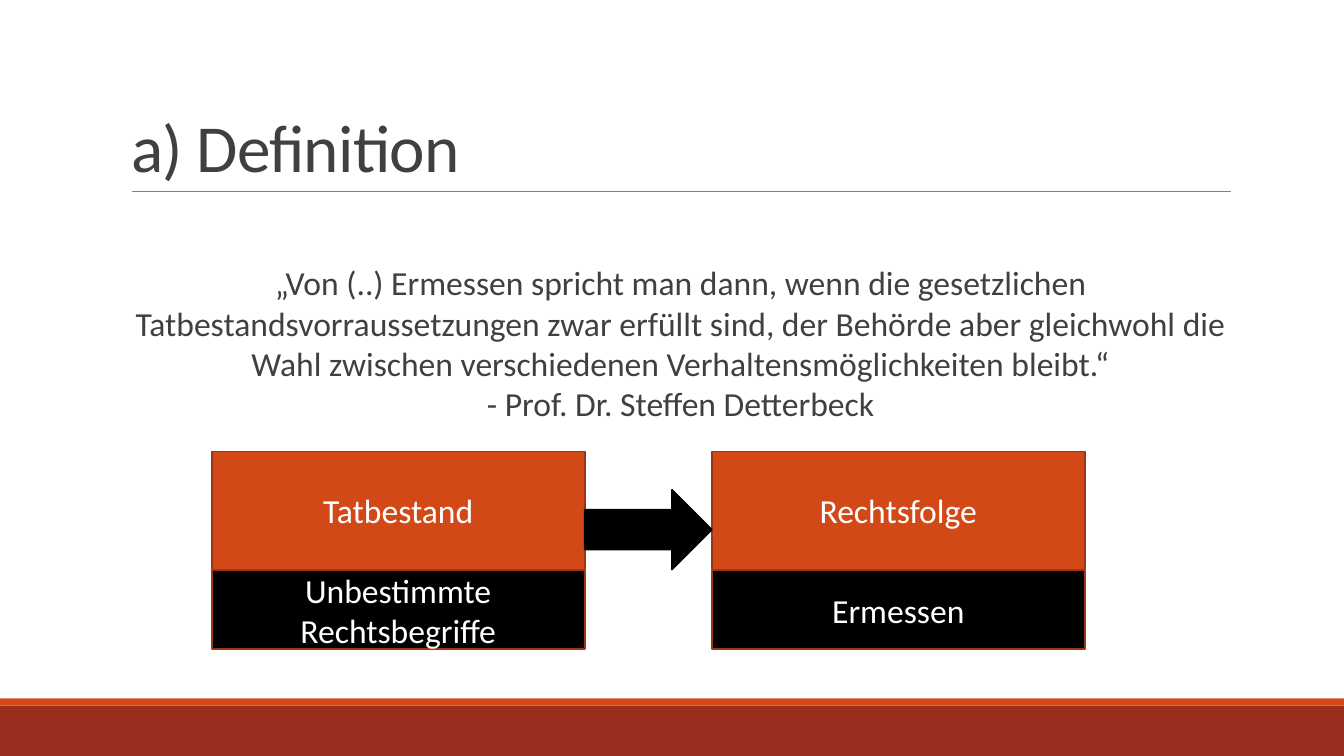
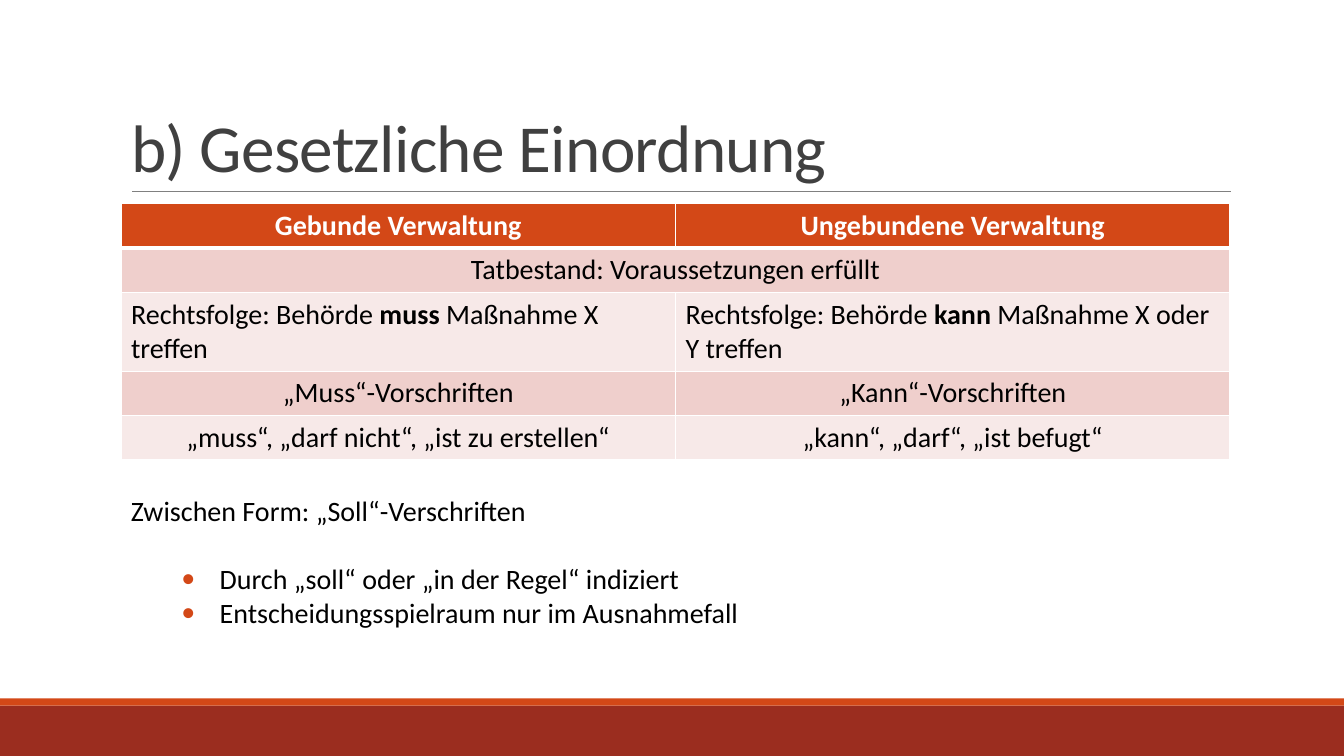
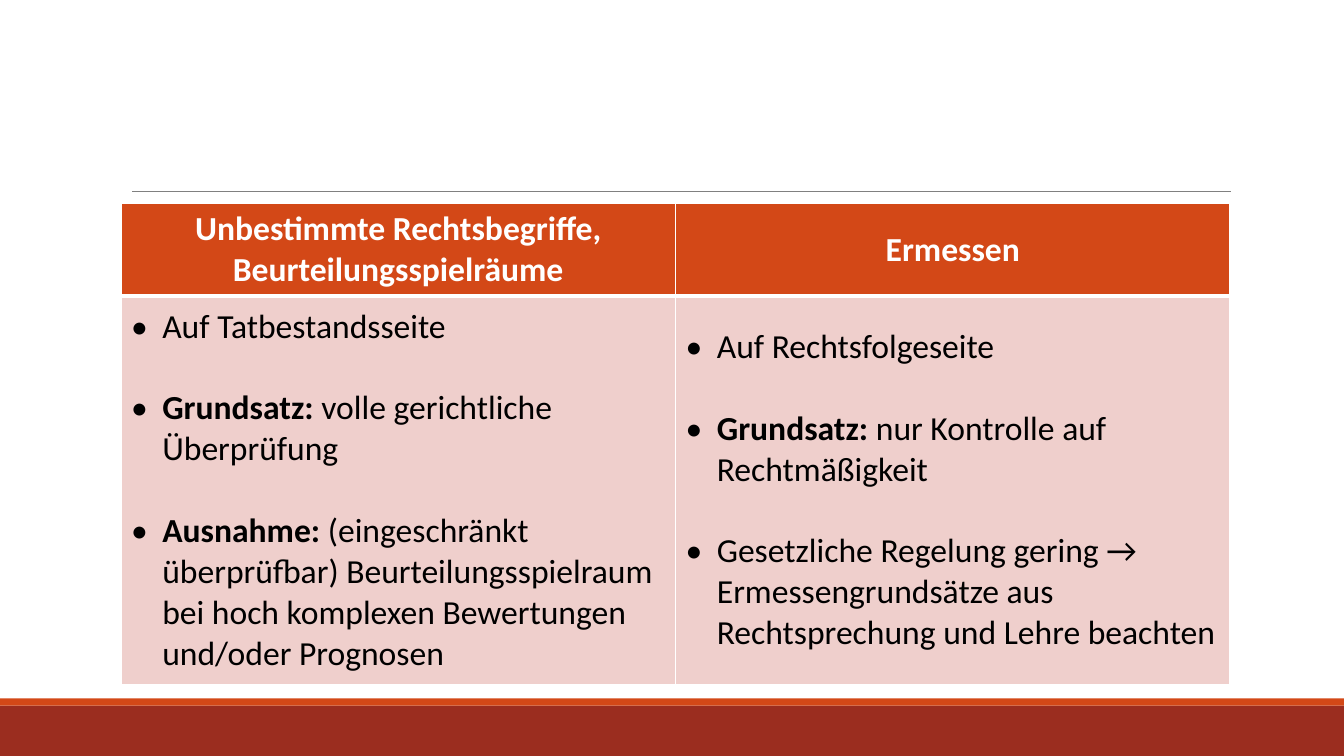
from dataclasses import dataclass
from lxml.etree import SubElement
from pptx import Presentation
from pptx.dml.color import RGBColor
from pptx.enum.shapes import MSO_CONNECTOR, MSO_SHAPE
from pptx.enum.text import MSO_ANCHOR, MSO_AUTO_SIZE, PP_ALIGN
from pptx.oxml.ns import qn
from pptx.util import Inches, Pt

HUES = {
    "white": "FFFFFF", "black": "000000", "gray": "404040", "rule": "808080",
    "orange": "D34817", "red": "9B2D1F", "edge": "9C3511",
    "rose": "EFCFCC", "pale": "F7E9E8",
}
FONT = "Calibri"
LEFT, WIDTH, TOP = 1.2, 11, 2.02
MID, START = PP_ALIGN.CENTER, PP_ALIGN.LEFT


@dataclass
class Block:
    """A filled preset shape with a place and a label."""
    x: float
    y: float
    w: float
    h: float
    fill: str
    line: str | None = "edge"
    text: str = ""
    kind: MSO_SHAPE = MSO_SHAPE.RECTANGLE


@dataclass
class Row:
    """A table row with one look for all its cells."""
    high: float
    cells: list[list[str]]
    fill: str
    align: PP_ALIGN = MID
    color: str = "black"
    bold: bool = False
    mark: str = ""


def hue(name: str) -> RGBColor:
    """Return a named colour."""
    return RGBColor.from_string(HUES[name])


def place(shape, x: float, y: float, w: float, h: float) -> None:
    """Move and size a shape in inches."""
    shape.left, shape.top = Inches(x), Inches(y)
    shape.width, shape.height = Inches(w), Inches(h)


def tint(host, name: str) -> None:
    """Add a solid fill to an XML node."""
    fill = SubElement(host, qn("a:solidFill"))
    SubElement(fill, qn("a:srgbClr"), val=HUES[name])


def write(frame, texts: list[str], *, size: float, color: str, bold: bool = False,
          align: PP_ALIGN = START, mark: str = "", dot: str = "", margin: float = 0,
          hang: float = 0, after: float = 0, lead: float = 1, track: int = 0) -> None:
    """Write paragraphs in which ** toggles bold and a newline breaks the line."""
    frame.word_wrap = True
    frame.clear()
    for num, text in enumerate(texts):
        para = frame.add_paragraph() if num else frame.paragraphs[0]
        para.alignment, para.line_spacing = align, lead
        para.space_before = Pt(0)
        para.space_after = Pt(after if num < len(texts) - 1 else 0)
        props = para._p.get_or_add_pPr()
        props.set("marL", str(Inches(margin)))
        props.set("indent", str(-Inches(hang)))
        if mark:
            tint_host = SubElement(props, qn("a:buClr"))
            SubElement(tint_host, qn("a:srgbClr"), val=HUES[dot or color])
            SubElement(props, qn("a:buFont"), typeface=FONT)
            SubElement(props, qn("a:buChar"), char=mark)
        else:
            SubElement(props, qn("a:buNone"))
        for turn, part in enumerate(text.split("**")):
            for step, line in enumerate(part.split("\n")):
                if step:
                    para.add_line_break()
                if not line:
                    continue
                run = para.add_run()
                run.text = line
                font = run.font
                font.name, font.size = FONT, Pt(size)
                font.bold = bold or turn % 2 == 1
                font.color.rgb = hue(color)
                if track:
                    run._r.get_or_add_rPr().set("spc", str(track))


def draw(slide, block: Block):
    """Draw a block with its label."""
    shape = slide.shapes.add_shape(block.kind, 0, 0, 0, 0)
    place(shape, block.x, block.y, block.w, block.h)
    shape.shadow.inherit = False
    shape.fill.solid()
    shape.fill.fore_color.rgb = hue(block.fill)
    if block.line:
        shape.line.color.rgb = hue(block.line)
        shape.line.width = Pt(1.25)
    else:
        shape.line.fill.background()
    if block.text:
        write(shape.text_frame, [block.text], size=24, color="white", align=MID)
    return shape


def dress(deck, slide) -> None:
    """Give the master its bands and rule, drawn first on a slide."""
    parts = [draw(slide, Block(0, 7, 13.33, 0.5, "red", None)),
             draw(slide, Block(0, 6.93, 13.33, 0.07, "orange", None))]
    rule = slide.shapes.add_connector(
        MSO_CONNECTOR.STRAIGHT, Inches(1.31), Inches(1.9), Inches(12.21), Inches(1.9))
    rule.line.color.rgb = hue("rule")
    rule.line.width = Pt(0.5)
    SubElement(rule.element.spPr, qn("a:effectLst"))
    for part in parts + [rule]:
        deck.slide_master.shapes.element.append(part.element)


def head(slide, text: str) -> None:
    """Set the slide title."""
    title = slide.shapes.title
    place(title, LEFT, 0.31, WIDTH, 1.59)
    frame = title.text_frame
    frame.auto_size = MSO_AUTO_SIZE.NONE
    frame.vertical_anchor = MSO_ANCHOR.BOTTOM
    write(frame, [text], size=48, color="gray", lead=0.85, track=-50)


def edge(cell, row: int) -> None:
    """Draw white cell borders, thick below the header."""
    props = cell._tc.get_or_add_tcPr()
    for side in "LRTB":
        thick = (row, side) in ((0, "B"), (1, "T"))
        line = SubElement(props, qn("a:ln" + side), w=str(Pt(3 if thick else 1)))
        tint(line, "white")


def grid(slide, rows: list[Row], size: float, anchor: MSO_ANCHOR) -> None:
    """Draw a table of two columns; a row with one cell spans both."""
    high = sum(row.high for row in rows)
    table = slide.shapes.add_table(len(rows), 2, Inches(LEFT), Inches(TOP),
                                   Inches(WIDTH), Inches(high)).table
    for num, row in enumerate(rows):
        table.rows[num].height = Inches(row.high)
        if len(row.cells) == 1:
            table.cell(num, 0).merge(table.cell(num, 1))
        for col in range(2):
            cell = table.cell(num, col)
            edge(cell, num)
            cell.fill.solid()
            cell.fill.fore_color.rgb = hue(row.fill)
            cell.vertical_anchor = anchor
            if col < len(row.cells):
                inset = 0.31 if row.mark else 0
                write(cell.text_frame, row.cells[col], size=size, color=row.color,
                      bold=row.bold, align=row.align, mark=row.mark,
                      margin=inset, hang=inset, after=29)


def define(slide) -> None:
    """Build the slide with the definition."""
    head(slide, "a) Definition")
    body = slide.placeholders[1]
    place(body, LEFT, TOP, WIDTH, 4.4)
    frame = body.text_frame
    frame.auto_size = MSO_AUTO_SIZE.NONE
    frame.vertical_anchor = MSO_ANCHOR.TOP
    frame.margin_left = frame.margin_right = 0
    frame.margin_top = Inches(0.58)
    write(frame, ["„Von (..) Ermessen spricht man dann, wenn die gesetzlichen "
                  "Tatbestandsvorraussetzungen zwar erfüllt sind, der Behörde aber "
                  "gleichwohl die Wahl zwischen verschiedenen Verhaltensmöglichkeiten "
                  "bleibt.“\n- Prof. Dr. Steffen Detterbeck"],
          size=24, color="gray", align=MID, margin=0.1)
    pairs = [("Tatbestand", "Unbestimmte Rechtsbegriffe"), ("Rechtsfolge", "Ermessen")]
    for num, (upper, lower) in enumerate(pairs):
        left = 2.1 + num * 4.96
        draw(slide, Block(left, 4.48, 3.7, 1.17, "orange", text=upper))
        draw(slide, Block(left, 5.66, 3.7, 0.78, "black", text=lower))
    draw(slide, Block(5.8, 4.86, 1.26, 0.79, "black", "black",
                      kind=MSO_SHAPE.RIGHT_ARROW))


def sort(slide) -> None:
    """Build the slide on the legal types."""
    head(slide, "b) Gesetzliche Einordnung")
    grid(slide, [
        Row(0.43, [["Gebunde Verwaltung"], ["Ungebundene Verwaltung"]],
            "orange", color="white", bold=True),
        Row(0.43, [["Tatbestand: Voraussetzungen erfüllt"]], "rose"),
        Row(0.77, [["Rechtsfolge: Behörde **muss** Maßnahme X treffen"],
                   ["Rechtsfolge: Behörde **kann** Maßnahme X oder Y treffen"]],
            "pale", START),
        Row(0.43, [["„Muss“-Vorschriften"], ["„Kann“-Vorschriften"]], "rose"),
        Row(0.43, [["„muss“, „darf nicht“, „ist zu erstellen“"],
                   ["„kann“, „darf“, „ist befugt“"]], "pale"),
    ], 20, MSO_ANCHOR.TOP)
    notes = [(4.85, 0.44, ["Zwischen Form: „Soll“-Verschriften"], {}),
             (5.52, 0.78, ["Durch „soll“ oder „in der Regel“ indiziert",
                           "Entscheidungsspielraum nur im Ausnahmefall"],
              {"mark": "•", "dot": "orange", "margin": 0.88, "hang": 0.38})]
    for top, high, texts, style in notes:
        box = slide.shapes.add_textbox(Inches(LEFT), Inches(top), Inches(WIDTH), Inches(high))
        write(box.text_frame, texts, size=20, color="black", **style)


def match(slide) -> None:
    """Build the slide that compares both terms."""
    grid(slide, [
        Row(0.9, [["Unbestimmte Rechtsbegriffe, Beurteilungsspielräume"], ["Ermessen"]],
            "orange", color="white", bold=True),
        Row(3.86, [
            ["Auf Tatbestandsseite",
             "**Grundsatz:** volle gerichtliche Überprüfung",
             "**Ausnahme:** (eingeschränkt überprüfbar) Beurteilungsspielraum bei hoch "
             "komplexen Bewertungen und/oder Prognosen"],
            ["Auf Rechtsfolgeseite",
             "**Grundsatz:** nur Kontrolle auf Rechtmäßigkeit",
             "Gesetzliche Regelung gering → Ermessengrundsätze aus Rechtsprechung "
             "und Lehre beachten"]],
            "rose", START, mark="•"),
    ], 24, MSO_ANCHOR.MIDDLE)


def main() -> None:
    """Build and save the deck."""
    deck = Presentation()
    deck.slide_width, deck.slide_height = Inches(13.33), Inches(7.5)
    for num, (layout, build) in enumerate([(1, define), (5, sort), (6, match)]):
        slide = deck.slides.add_slide(deck.slide_layouts[layout])
        if not num:
            dress(deck, slide)
        build(slide)
    deck.save("out.pptx")


main()
